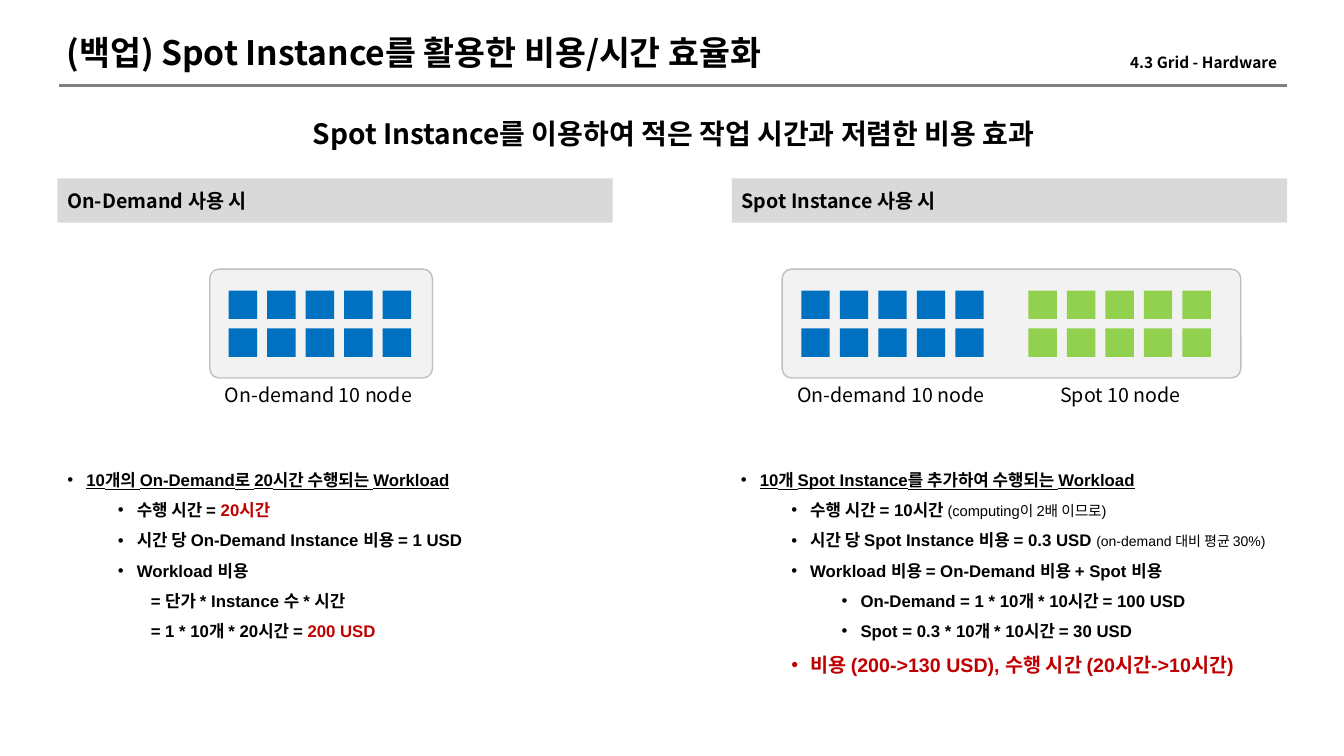
from lxml import etree
from pptx import Presentation
from pptx.dml.color import RGBColor
from pptx.enum import shapes, text
from pptx.oxml import ns
from pptx.util import Pt

SANS = "Noto Sans CJK KR"
BLACK, RED, BLUE, GREEN = "000000", "C00000", "0070C0", "92D050"
rgb = RGBColor.from_string


def style_span(span, size, colour=BLACK, bold=True, face="Arial"):
    """Format a run; Korean characters always take the sans face."""
    span.font.size = Pt(size)
    span.font.bold = bold
    span.font.color.rgb = rgb(colour)
    span.font.name = face
    east_asian = etree.SubElement(span.font._element, ns.qn("a:ea"))
    east_asian.set("typeface", SANS)


def write_line(box, words, size, align=text.PP_ALIGN.LEFT, bold=True):
    frame = box.text_frame
    frame.text = words
    frame.word_wrap = True
    frame.auto_size = text.MSO_AUTO_SIZE.NONE
    frame.vertical_anchor = text.MSO_ANCHOR.MIDDLE
    frame.paragraphs[0].alignment = align
    style_span(frame.paragraphs[0].runs[0], size, BLACK, bold, SANS)


deck = Presentation()
deck.slide_width, deck.slide_height = Pt(960), Pt(540)
page = deck.slides.add_slide(deck.slide_layouts[3])
title, *lists = page.placeholders

# Heading
title.left, title.top, title.width, title.height = Pt(40.3), Pt(18), Pt(600.5), Pt(38.9)
write_line(title, "(백업) Spot Instance를 활용한 비용/시간 효율화", 24)

message = page.shapes.add_textbox(Pt(129.6), Pt(75.6), Pt(703.4), Pt(38.9))
write_line(message, "Spot Instance를 이용하여 적은 작업 시간과 저렴한 비용 효과", 20,
           text.PP_ALIGN.CENTER)

section = page.shapes.add_textbox(Pt(699.8), Pt(31.7), Pt(219.6), Pt(25.2))
write_line(section, "4.3 Grid - Hardware", 11, text.PP_ALIGN.RIGHT)

rule = page.shapes.add_connector(shapes.MSO_CONNECTOR.STRAIGHT,
                                 Pt(42.5), Pt(61.2), Pt(919.4), Pt(61.2))
rule.line.color.rgb = rgb("808080")
rule.line.width = Pt(2.25)
etree.SubElement(rule._element.spPr, ns.qn("a:effectLst"))

# Column headers
for left, words in ((41, "On-Demand 사용 시"), (522.7, "Spot Instance 사용 시")):
    header = page.shapes.add_shape(shapes.MSO_SHAPE.RECTANGLE,
                                   Pt(left), Pt(127.4), Pt(396.7), Pt(31.7))
    header.shadow.inherit = False
    header.fill.solid()
    header.fill.fore_color.rgb = rgb("D9D9D9")
    header.line.fill.background()
    write_line(header, words, 14)

# Clusters: panel left, panel width, node blocks as (left, colour)
clusters = [
    (149.8, 159.1, [(163.4, BLUE)]),
    (558.7, 327.6, [(572.4, BLUE), (734.6, GREEN)]),
]
for left, width, blocks in clusters:
    cluster = page.shapes.add_group_shape()
    panel = cluster.shapes.add_shape(shapes.MSO_SHAPE.ROUNDED_RECTANGLE,
                                     Pt(left), Pt(192.2), Pt(width), Pt(77.8))
    panel.adjustments[0] = 0.086
    panel.shadow.inherit = False
    panel.fill.solid()
    panel.fill.fore_color.rgb = rgb("F2F2F2")
    panel.line.color.rgb = rgb("BFBFBF")
    panel.line.width = Pt(1)
    for block_left, colour in blocks:
        for index in range(10):
            row, column = divmod(index, 5)
            node = cluster.shapes.add_shape(
                shapes.MSO_SHAPE.RECTANGLE, Pt(block_left + 27.5 * column),
                Pt(207.6 + 27 * row), Pt(20.3), Pt(20.3))
            node.shadow.inherit = False
            node.fill.solid()
            node.fill.fore_color.rgb = rgb(colour)
            node.line.fill.background()

captions = [(153.4, 150.5, "On-demand 10 node"), (562.3, 150.5, "On-demand 10 node"),
            (750.2, 102.2, "Spot 10 node")]
for left, width, words in captions:
    caption = page.shapes.add_textbox(Pt(left), Pt(270), Pt(width), Pt(24.5))
    write_line(caption, words, 14, bold=False)
    caption.text_frame.word_wrap = False

# Cost lists: each line is a level, a bullet flag and its spans (words, size, colour, bold)
on_demand_lines = [
    (0, True, [("10개의 On-Demand로 20시간 수행되는 Workload", 12)]),
    (1, True, [("수행 시간 = ", 12), ("20시간", 12, RED)]),
    (1, True, [("시간 당 On-Demand Instance 비용 = 1 USD", 12)]),
    (1, True, [("Workload 비용", 12)]),
    (1, False, [("= 단가 * Instance 수 * 시간", 12)]),
    (1, False, [("= 1 * 10개 * 20시간 = ", 12), ("200 USD", 12, RED)]),
]
spot_lines = [
    (0, True, [("10개 Spot Instance를 추가하여 수행되는 Workload", 12)]),
    (1, True, [("수행 시간 = 10시간 ", 12), ("(computing이 2배 이므로)", 10.5, BLACK, False)]),
    (1, True, [("시간 당 Spot Instance 비용 = 0.3 USD ", 12),
               ("(on-demand 대비 평균 30%)", 10, BLACK, False)]),
    (1, True, [("Workload 비용 = On-Demand 비용 + Spot 비용", 12)]),
    (2, True, [("On-Demand = 1 * 10개 * 10시간 = 100 USD", 12)]),
    (2, True, [("Spot = 0.3 * 10개 * 10시간 = 30 USD", 12)]),
    (1, True, [("비용 (200->130 USD), 수행 시간 (20시간->10시간)", 14, RED)]),
]
for box, left, lines in zip(lists, (41, 522), (on_demand_lines, spot_lines)):
    box.left, box.top, box.width, box.height = Pt(left), Pt(316.8), Pt(396), Pt(173.5)
    frame = box.text_frame
    frame.word_wrap = False
    frame.auto_size = text.MSO_AUTO_SIZE.NONE
    frame.vertical_anchor = text.MSO_ANCHOR.TOP
    frame.margin_left = frame.margin_right = Pt(7.2)
    frame.margin_top, frame.margin_bottom = Pt(11.5), Pt(3.6)
    for index, (level, bulleted, spans) in enumerate(lines):
        para = frame.add_paragraph() if index else frame.paragraphs[0]
        para.level = level
        para.line_spacing = 1.5
        para.space_before = Pt(0)
        properties = para._p.get_or_add_pPr()
        margin = 13.5 + 36 * level if bulleted else 59.5
        properties.set("marL", str(Pt(margin)))
        properties.set("indent", str(Pt(-13.5) if bulleted else 0))
        if bulleted:
            font = etree.SubElement(properties, ns.qn("a:buFont"))
            font.set("typeface", "Arial")
            etree.SubElement(properties, ns.qn("a:buChar")).set("char", "•")
        else:
            etree.SubElement(properties, ns.qn("a:buNone"))
        for words, *look in spans:
            span = para.add_run()
            span.text = words
            style_span(span, *look)
            span.font.underline = level == 0

deck.save("out.pptx")
